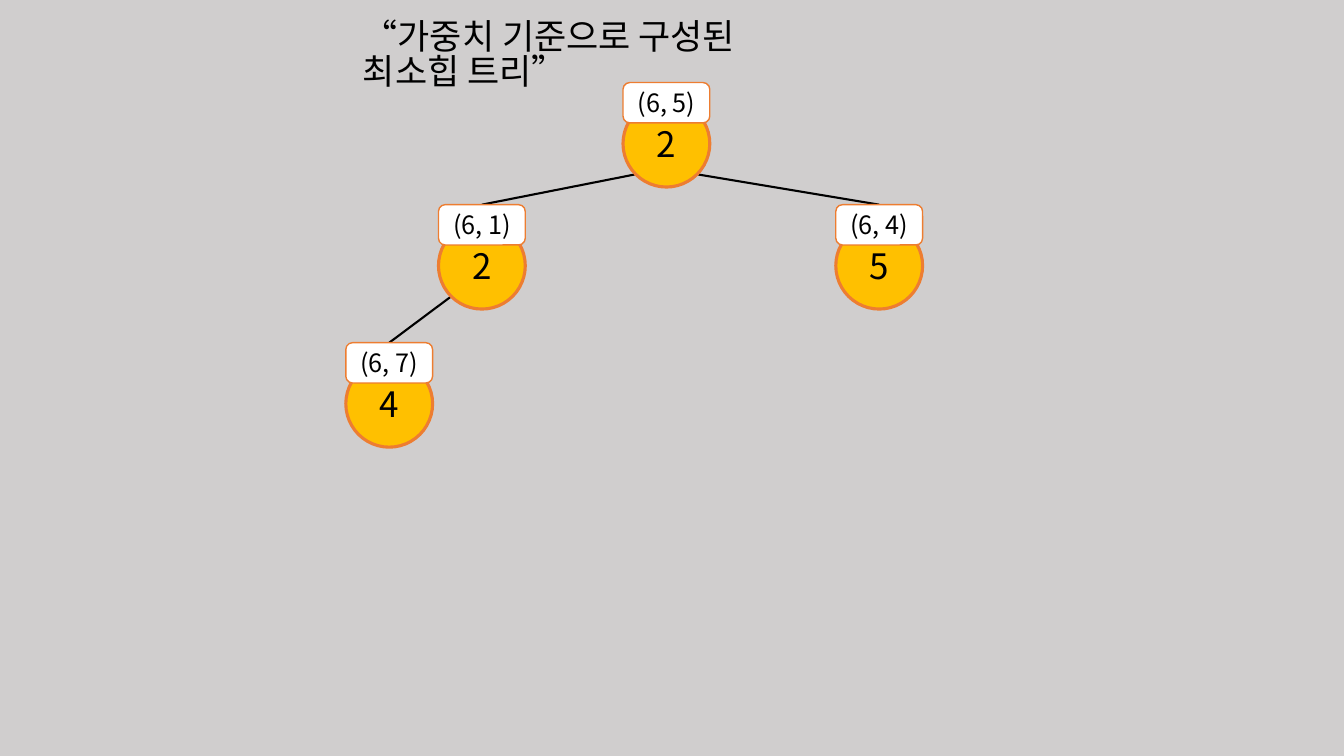
import math
from collections import namedtuple
from dataclasses import dataclass

from lxml import etree
from pptx import Presentation
from pptx import util as u
from pptx.dml.color import RGBColor
from pptx.enum import shapes, text
from pptx.oxml import ns


@dataclass(frozen=True)
class Theme:
    font: str = "Noto Sans CJK KR"
    background: str = "D0CECE"
    ink: str = "000000"
    node_fill: str = "FFC000"
    badge_fill: str = "FFFFFF"
    outline: str = "ED7D31"
    large: float = 25
    small: float = 18


THEME = Theme()
DIAMETER = 62
BADGE_HEIGHT = 28.8
CIRCLE_DROP = 12.6  # from the top of the badge to the top of the circle

Node = namedtuple("Node", "left top weight edge")
NODES = {
    "root": Node(445, 59, "2", "(6, 5)"),
    "left": Node(313.2, 146.2, "2", "(6, 1)"),
    "right": Node(597, 146.2, "5", "(6, 4)"),
    "leaf": Node(247, 244.8, "4", "(6, 7)"),
}
BRANCHES = [("root", "left"), ("root", "right"), ("left", "leaf")]


def colour(value):
    return RGBColor.from_string(value)


def apply(target, values):
    for name, value in values.items():
        setattr(target, name, value)


def write(shape, content, size, alignment, frame_format):
    frame = shape.text_frame
    apply(frame, frame_format)
    paragraph = frame.paragraphs[0]
    paragraph.alignment = alignment
    run = paragraph.add_run()
    run.text = content
    apply(run.font, {"name": THEME.font, "size": u.Pt(size),
                     "language_id": text.MSO_LANGUAGE_ID.KOREAN}
          if hasattr(text, "MSO_LANGUAGE_ID") else
          {"name": THEME.font, "size": u.Pt(size)})
    run.font.color.rgb = colour(THEME.ink)
    east_asian = etree.SubElement(run.font._element, ns.qn("a:ea"))
    east_asian.set("typeface", THEME.font)
    return paragraph


def add_title(slide, content):
    title = slide.shapes.title
    apply(title, {"left": u.Pt(252), "top": u.Pt(12.2),
                  "width": u.Pt(342.7), "height": u.Pt(37.4)})
    paragraph = write(title, content, THEME.large, text.PP_ALIGN.LEFT, {
        "word_wrap": True,
        "auto_size": text.MSO_AUTO_SIZE.NONE,
        "vertical_anchor": text.MSO_ANCHOR.TOP,
    })
    paragraph.line_spacing = 0.82


def add_label_shape(group, kind, box, fill, line_width, content, size):
    shape = group.shapes.add_shape(kind, *map(u.Pt, box))
    shape.shadow.inherit = False
    shape.fill.solid()
    shape.fill.fore_color.rgb = colour(fill)
    shape.line.color.rgb = colour(THEME.outline)
    shape.line.width = u.Pt(line_width)
    write(shape, content, size, text.PP_ALIGN.CENTER, {
        "word_wrap": False,
        "vertical_anchor": text.MSO_ANCHOR.MIDDLE,
    })


def add_node(slide, node):
    """Group a weight circle with the edge badge that overlaps its top."""
    group = slide.shapes.add_group_shape()
    add_label_shape(group, shapes.MSO_SHAPE.OVAL,
                    (node.left, node.top + CIRCLE_DROP, DIAMETER, DIAMETER),
                    THEME.node_fill, 2.25, node.weight, THEME.large)
    add_label_shape(group, shapes.MSO_SHAPE.ROUNDED_RECTANGLE,
                    (node.left, node.top, DIAMETER, BADGE_HEIGHT),
                    THEME.badge_fill, 1, node.edge, THEME.small)


def add_branch(slide, parent, child):
    """Join the parent's lower diagonal point to the child's top centre."""
    radius = DIAMETER / 2
    diagonal = radius * math.sqrt(0.5)
    side = math.copysign(diagonal, child.left - parent.left)
    ends = (parent.left + radius + side,
            parent.top + CIRCLE_DROP + radius + diagonal,
            child.left + radius, child.top)
    branch = slide.shapes.add_connector(shapes.MSO_CONNECTOR.STRAIGHT,
                                        *map(u.Pt, ends))
    branch.line.color.rgb = colour(THEME.ink)
    branch.line.width = u.Pt(1.5)
    etree.SubElement(branch._element.spPr, ns.qn("a:effectLst"))


def main():
    presentation = Presentation()
    apply(presentation, {"slide_width": u.Pt(960), "slide_height": u.Pt(540)})
    slide = presentation.slides.add_slide(presentation.slide_layouts[5])
    slide.background.fill.solid()
    slide.background.fill.fore_color.rgb = colour(THEME.background)

    add_title(slide, "“가중치 기준으로 구성된 최소힙 트리”")
    for parent, child in BRANCHES:
        add_branch(slide, NODES[parent], NODES[child])
    for node in NODES.values():
        add_node(slide, node)
    presentation.save("out.pptx")


if __name__ == "__main__":
    main()
